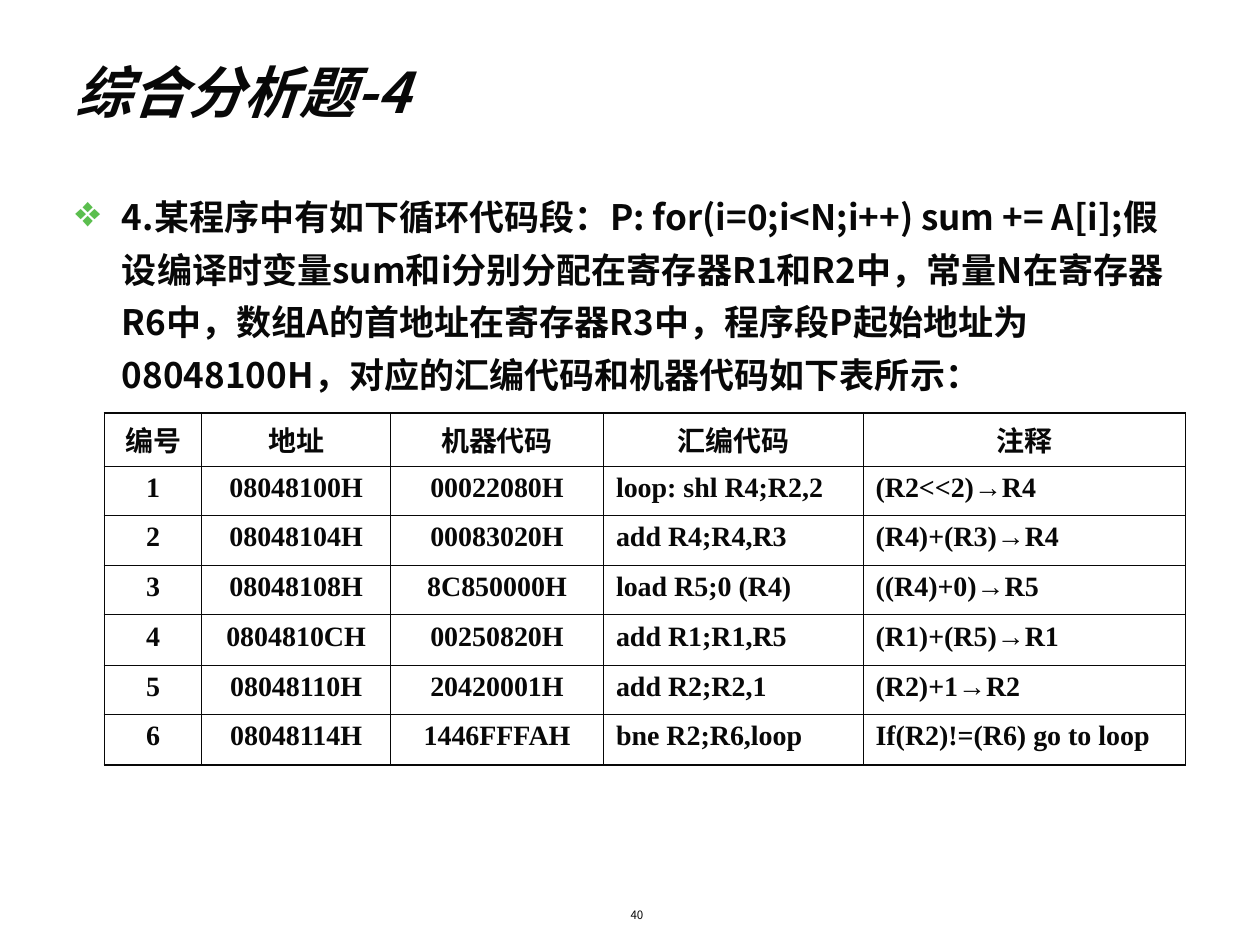
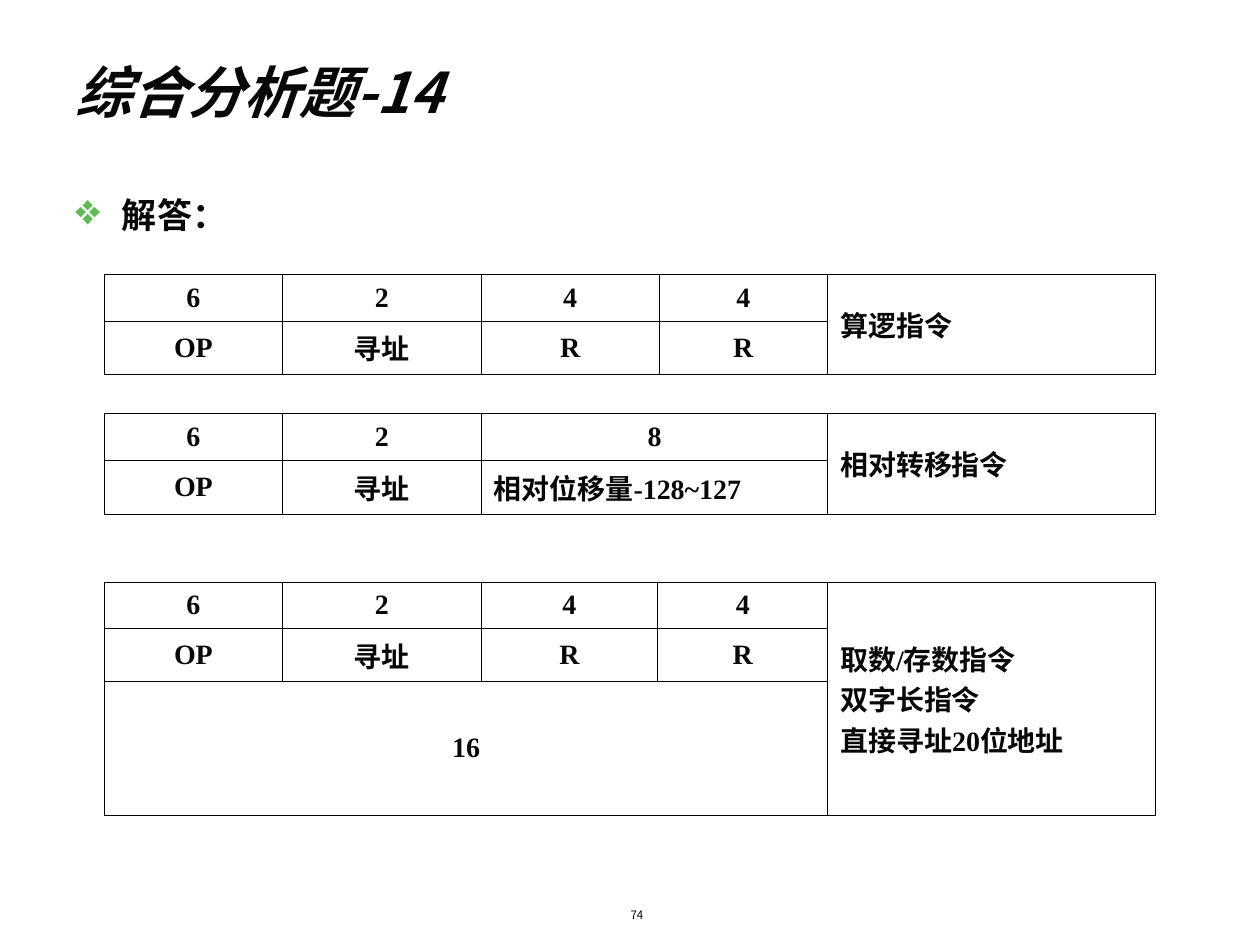
"""Build two exercise slides: a loop's assembly listing and instruction format tables."""
from dataclasses import dataclass

from lxml.etree import SubElement
from pptx import Presentation
from pptx.dml.color import RGBColor
from pptx.enum.text import MSO_ANCHOR as Anchor
from pptx.enum.text import MSO_AUTO_SIZE as AutoSize
from pptx.enum.text import PP_ALIGN as Align
from pptx.oxml.ns import qn
from pptx.presentation import Presentation as Deck
from pptx.slide import Slide
from pptx.table import _Cell as Cell
from pptx.text.text import _Paragraph as Paragraph
from pptx.util import Inches, Pt


@dataclass(frozen=True)
class Theme:
    """Colours, fonts and type sizes of the deck."""
    ink: str = "080808"
    grid: str = "000000"
    bullet: str = "5BBE4E"
    sans: str = "Noto Sans CJK SC"
    serif: str = "Times New Roman"
    title: float = 32
    body: float = 20
    cell: float = 16
    number: float = 6.6
    thin: float = 0.45
    thick: float = 1.08


THEME = Theme()
TITLE_ONLY = 5


@dataclass(frozen=True)
class Grid:
    """A ruled table; None marks a cell covered by a merge."""
    top: float
    widths: tuple[float, ...]
    heights: tuple[float, ...]
    rows: tuple[tuple[str | None, ...], ...]
    left_cells: frozenset[tuple[int, int]]
    merges: tuple[tuple[int, int, int, int], ...] = ()
    anchor: Anchor = Anchor.MIDDLE
    line: str = THEME.grid
    outer: float = THEME.thin
    left: float = 0.83


@dataclass(frozen=True)
class Exercise:
    """The content of one slide."""
    title: str
    lead: str
    spacing: float
    number: str
    grids: tuple[Grid, ...]


LISTING = Grid(
    top=3.28,
    widths=(0.77, 1.5, 1.69, 2.06, 2.56),
    heights=(0.42,) + (0.39, 0.4) * 3,
    rows=(
        ("编号", "地址", "机器代码", "汇编代码", "注释"),
        ("1", "08048100H", "00022080H", "loop: shl R4;R2,2", "(R2<<2)→R4"),
        ("2", "08048104H", "00083020H", "add R4;R4,R3", "(R4)+(R3)→R4"),
        ("3", "08048108H", "8C850000H", "load R5;0 (R4)", "((R4)+0)→R5"),
        ("4", "0804810CH", "00250820H", "add R1;R1,R5", "(R1)+(R5)→R1"),
        ("5", "08048110H", "20420001H", "add R2;R2,1", "(R2)+1→R2"),
        ("6", "08048114H", "1446FFFAH", "bne R2;R6,loop", "If(R2)!=(R6) go to loop"),
    ),
    left_cells=frozenset((row, column) for row in range(1, 7) for column in (3, 4)),
    anchor=Anchor.TOP,
    line=THEME.ink,
    outer=THEME.thick,
)

ARITHMETIC = Grid(
    top=2.18,
    widths=(1.41, 1.58, 1.41, 1.34, 2.6),
    heights=(0.37, 0.42),
    rows=(("6", "2", "4", "4", "算逻指令"), ("OP", "寻址", "R", "R", None)),
    left_cells=frozenset({(0, 4)}),
    merges=((0, 4, 1, 4),),
)

BRANCH = Grid(
    top=3.28,
    widths=(1.41, 1.58, 2.75, 2.6),
    heights=(0.37, 0.43),
    rows=(("6", "2", "8", "相对转移指令"), ("OP", "寻址", "相对位移量-128~127", None)),
    left_cells=frozenset({(0, 3), (1, 2)}),
    merges=((0, 3, 1, 3),),
)

LOAD_STORE = Grid(
    top=4.62,
    widths=(1.41, 1.58, 1.4, 1.35, 2.6),
    heights=(0.37, 0.42, 1.06),
    rows=(
        ("6", "2", "4", "4", "取数/存数指令\n双字长指令\n直接寻址20位地址"),
        ("OP", "寻址", "R", "R", None),
        ("16", None, None, None, None),
    ),
    left_cells=frozenset({(0, 4)}),
    merges=((0, 4, 2, 4), (2, 0, 2, 3)),
)

EXERCISES = (
    Exercise(
        "综合分析题-4",
        "4.某程序中有如下循环代码段：P: for(i=0;i<N;i++) sum += A[i];"
        "假设编译时变量sum和i分别分配在寄存器R1和R2中，常量N在寄存器R6中，"
        "数组A的首地址在寄存器R3中，程序段P起始地址为08048100H，"
        "对应的汇编代码和机器代码如下表所示：",
        1.25,
        "40",
        (LISTING,),
    ),
    Exercise("综合分析题-14", "解答：", 1.2, "74", (ARITHMETIC, BRANCH, LOAD_STORE)),
)


def style(para: Paragraph, size: float, font: str = THEME.sans,
          bold: bool = False, italic: bool = False) -> None:
    """Format every run of a paragraph."""
    for span in para.runs:
        span.font.name = font
        span.font.size = Pt(size)
        span.font.bold = bold
        span.font.italic = italic
        span.font.color.rgb = RGBColor.from_string(THEME.ink)
        SubElement(span.font._element, qn("a:ea"), typeface=THEME.sans)


def add_title(page: Slide, text: str) -> None:
    """Place and format the title placeholder."""
    box = page.shapes.title
    box.left, box.top, box.width, box.height = map(Inches, (0.5, 0.25, 9, 0.95))
    frame = box.text_frame
    frame.text = text
    frame.auto_size = AutoSize.NONE
    frame.vertical_anchor = Anchor.MIDDLE
    frame.paragraphs[0].alignment = Align.LEFT
    style(frame.paragraphs[0], THEME.title, bold=True, italic=True)


def add_text(page: Slide, text: str, *area: float) -> tuple:
    """Add a wrapping text box and return its frame and first paragraph."""
    frame = page.shapes.add_textbox(*map(Inches, area)).text_frame
    frame.word_wrap = True
    frame.text = text
    return frame, frame.paragraphs[0]


def add_lead(page: Slide, text: str, spacing: float) -> None:
    """Add the bulleted lead paragraph."""
    frame, para = add_text(page, text, 0.5, 1.42, 9, 5.5)
    frame.margin_right = Inches(0.07)
    para.line_spacing = spacing
    properties = para._p.get_or_add_pPr()
    properties.set("marL", str(Inches(0.37)))
    properties.set("indent", str(-Inches(0.37)))
    colour = SubElement(properties, qn("a:buClr"))
    SubElement(colour, qn("a:srgbClr"), val=THEME.bullet)
    SubElement(properties, qn("a:buSzPct"), val="125000")
    SubElement(properties, qn("a:buChar"), char="❖")
    style(para, THEME.body, bold=True)


def add_number(page: Slide, text: str) -> None:
    """Add the page number."""
    frame, para = add_text(page, text, 3.42, 7.15, 3.17, 0.27)
    frame.margin_left = Inches(0.2)
    frame.margin_top = Inches(0.06)
    para.alignment = Align.CENTER
    style(para, THEME.number)


def rule_cell(cell: Cell, colour: str, widths: dict[str, float]) -> None:
    """Draw the four borders of a cell."""
    properties = cell._tc.get_or_add_tcPr()
    for side, width in widths.items():
        line = SubElement(properties, qn(f"a:ln{side}"), w=str(Pt(width)))
        fill = SubElement(line, qn("a:solidFill"))
        SubElement(fill, qn("a:srgbClr"), val=colour)


def add_grid(page: Slide, grid: Grid) -> None:
    """Add a table with its merges, borders and text."""
    last_row, last_column = len(grid.heights) - 1, len(grid.widths) - 1
    area = (grid.left, grid.top, sum(grid.widths), sum(grid.heights))
    table = page.shapes.add_table(last_row + 1, last_column + 1, *map(Inches, area)).table
    table.first_row = table.horz_banding = False
    for column, width in zip(table.columns, grid.widths):
        column.width = Inches(width)
    for row, height in zip(table.rows, grid.heights):
        row.height = Inches(height)
    for top, left, bottom, right in grid.merges:
        table.cell(top, left).merge(table.cell(bottom, right))
    for r, texts in enumerate(grid.rows):
        for c, text in enumerate(texts):
            cell = table.cell(r, c)
            edges = {"L": c == 0, "R": c == last_column, "T": r == 0, "B": r == last_row}
            rule_cell(cell, grid.line, {side: grid.outer if edge else THEME.thin
                                        for side, edge in edges.items()})
            cell.fill.background()
            cell.vertical_anchor = grid.anchor
            if text is None:
                continue
            cell.text_frame.text = text
            for para in cell.text_frame.paragraphs:
                para.alignment = Align.LEFT if (r, c) in grid.left_cells else Align.CENTER
                style(para, THEME.cell, THEME.serif, bold=True)


def add_exercise(deck: Deck, exercise: Exercise) -> None:
    """Add one complete slide."""
    page = deck.slides.add_slide(deck.slide_layouts[TITLE_ONLY])
    add_title(page, exercise.title)
    add_lead(page, exercise.lead, exercise.spacing)
    add_number(page, exercise.number)
    for grid in exercise.grids:
        add_grid(page, grid)


def main() -> None:
    """Build and save the deck."""
    deck = Presentation()
    deck.slide_width, deck.slide_height = Inches(10), Inches(7.5)
    for exercise in EXERCISES:
        add_exercise(deck, exercise)
    deck.save("out.pptx")


if __name__ == "__main__":
    main()
